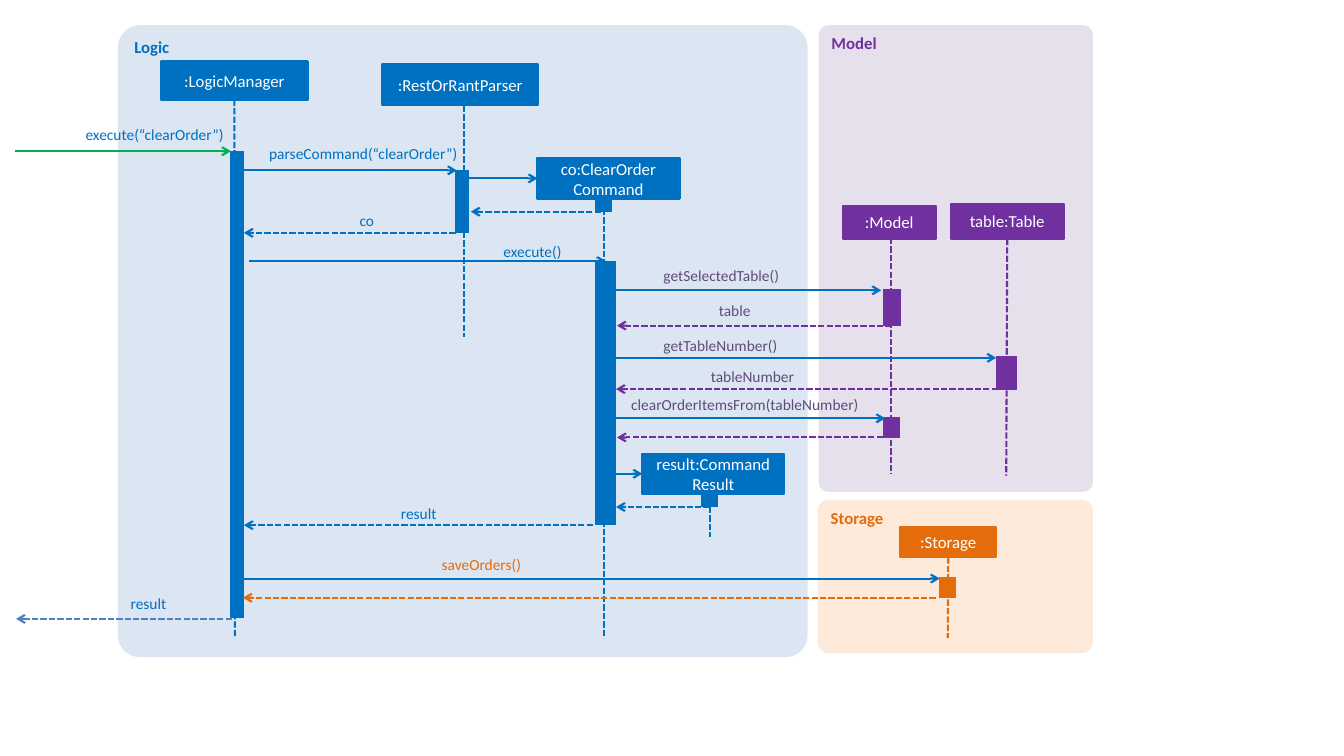
import pptx
import pptx.util
import pptx.dml.color
import pptx.enum.dml
import pptx.enum.shapes
import pptx.enum.text
import pptx.oxml
import pptx.oxml.ns

Inches, Pt = pptx.util.Inches, pptx.util.Pt
Shape = pptx.enum.shapes.MSO_SHAPE
Align = pptx.enum.text.PP_ALIGN
Anchor = pptx.enum.text.MSO_ANCHOR

theme = {
    "font": "Calibri", "head": 12, "label": 11, "line": 1.5, "edge": 0.75,
    "white": "FFFFFF", "logic": "0070C0", "model": "7030A0", "store": "E46C0A",
    "call": "00B050", "reply": "4F81BD", "query": "604A7B",
    "logic bg": "DCE6F2", "model bg": "E6E0EC", "store bg": "FDEADA",
}

# Panels: title, colour, corner, left, top, width, height
panels = [
    ("Logic", "logic", 0.035, 1.17, 0.25, 6.84, 6.27),
    ("Model", "model", 0.035, 8.12, 0.25, 2.72, 4.63),
    ("Storage", "store", 0.071, 8.11, 4.96, 2.73, 1.52),
]
# Activation bars: colour, left, top, width, height
bars = [
    ("logic", 2.29, 1.5, 0.13, 4.63),
    ("logic", 4.52, 1.69, 0.13, 0.62),
    ("logic", 5.91, 1.95, 0.16, 0.15),
    ("logic", 5.91, 2.59, 0.2, 2.61),
    ("logic", 6.96, 4.88, 0.16, 0.15),
    ("model", 8.76, 2.87, 0.17, 0.36),
    ("model", 9.88, 3.54, 0.2, 0.32),
    ("model", 8.76, 4.14, 0.16, 0.2),
    ("store", 9.32, 5.73, 0.16, 0.2),
]
# Heads: text, colour, left, top, width, height
heads = [
    (":LogicManager", "logic", 1.6, 0.61, 1.45, 0.38),
    (":RestOrRantParser", "logic", 3.79, 0.64, 1.55, 0.4),
    ("co:ClearOrder\vCommand", "logic", 5.33, 1.57, 1.41, 0.4),
    ("result:CommandResult", "logic", 6.37, 4.5, 1.41, 0.4),
    (":Model", "model", 8.36, 2.04, 0.92, 0.33),
    ("table:Table", "model", 9.43, 2.02, 1.12, 0.35),
    (":Storage", "store", 8.93, 5.23, 0.95, 0.3),
]
# Lifelines: colour, x, top, bottom
lives = [
    ("logic", 2.33, 0.99, 6.33),
    ("logic", 4.6, 1.05, 3.34),
    ("logic", 5.99, 1.99, 6.33),
    ("logic", 7.04, 5.03, 5.33),
    ("model", 8.84, 2.36, 4.7),
    ("model", 9.98, 2.36, 4.72),
    ("store", 9.4, 5.53, 6.33),
]
# Messages: colour, start x, end x, y (those that run left are replies)
calls = [
    ("call", 0.15, 2.29, 1.5),
    ("logic", 2.42, 4.53, 1.69),
    ("logic", 4.61, 5.33, 1.77),
    ("logic", 5.96, 4.67, 2.1),
    ("logic", 4.52, 2.42, 2.31),
    ("logic", 2.47, 6.01, 2.59),
    ("logic", 6.08, 8.74, 2.88),
    ("model", 8.84, 6.12, 3.23),
    ("logic", 6.08, 9.88, 3.55),
    ("model", 9.98, 6.11, 3.86),
    ("logic", 6.08, 8.78, 4.15),
    ("model", 8.84, 6.12, 4.34),
    ("logic", 6.08, 6.37, 4.7),
    ("logic", 7.04, 6.11, 5.03),
    ("logic", 5.88, 2.42, 5.21),
    ("logic", 2.42, 9.32, 5.74),
    ("store", 9.28, 2.41, 5.93),
    ("reply", 2.3, 0.16, 6.14),
]
# Labels: text, colour, alignment, left, top, width
labels = [
    ("execute(“clearOrder”)", "logic", Align.RIGHT, 0.62, 1.24, 1.6),
    ("parseCommand(“clearOrder”)", "logic", Align.RIGHT, 2.3, 1.43, 2.24),
    ("co", "logic", Align.RIGHT, 2.77, 2.09, 0.94),
    ("execute()", "logic", Align.RIGHT, 4.63, 2.4, 0.94),
    ("getSelectedTable()", "query", Align.LEFT, 6.58, 2.64, 1.48),
    ("table", "query", Align.LEFT, 7.13, 2.99, 1.48),
    ("getTableNumber()", "query", Align.LEFT, 6.58, 3.33, 1.48),
    ("tableNumber", "query", Align.LEFT, 7.05, 3.64, 1.48),
    ("clearOrderItemsFrom(tableNumber)", "query", Align.LEFT, 6.26, 3.92, 2.32),
    ("result", "logic", Align.RIGHT, 3.65, 5, 0.68),
    ("saveOrders()", "store", Align.LEFT, 4.38, 5.51, 1.48),
    ("result", "logic", Align.RIGHT, 0.82, 5.89, 0.83),
]

deck = pptx.Presentation()
deck.slide_width, deck.slide_height = Inches(13.33), Inches(7.5)
slide = deck.slides.add_slide(deck.slide_layouts[6])
rects = []


def tint(name):
    return pptx.dml.color.RGBColor.from_string(theme[name])


def write(shape, text, size, color, align, bold=False):
    frame = shape.text_frame
    frame.word_wrap = True
    frame.text = text
    para = frame.paragraphs[0]
    para.alignment = align
    font = para.font
    font.name, font.size, font.bold = theme["font"], Pt(theme[size]), bold
    font.color.rgb = tint(color)
    return frame


def block(kind, fill, box, edge=None):
    shape = slide.shapes.add_shape(kind, *map(Inches, box))
    shape.shadow.inherit = False
    shape.fill.solid()
    shape.fill.fore_color.rgb = tint(fill)
    if edge:
        shape.line.color.rgb = tint(fill)
        shape.line.width = Pt(theme[edge])
        rects.append((shape, box))
    else:
        shape.line.fill.background()
    return shape


def dock(x, y):
    """Find the rectangle side whose middle is at this point."""
    for shape, (left, top, wide, high) in rects:
        mid, half = left + wide / 2, top + high / 2
        sides = [(mid, top), (left, half), (mid, top + high), (left + wide, half)]
        for side, (px, py) in enumerate(sides):
            if max(abs(px - x), abs(py - y)) < 0.015:
                return shape, side
    return None


def link(color, start, end, dash=False, arrow=False):
    line = slide.shapes.add_connector(
        pptx.enum.shapes.MSO_CONNECTOR.STRAIGHT, *map(Inches, start + end))
    line.line.color.rgb = tint(color)
    line.line.width = Pt(theme["line"])
    if dash:
        line.line.dash_style = pptx.enum.dml.MSO_LINE.SQUARE_DOT
    if arrow:
        tip = pptx.oxml.parse_xml(
            f'<a:tailEnd {pptx.oxml.ns.nsdecls("a")} type="arrow"/>')
        line.line._get_or_add_ln().append(tip)
    line._element.spPr.append(pptx.oxml.parse_xml(
        f'<a:effectLst {pptx.oxml.ns.nsdecls("a")}/>'))
    for join, point in ((line.begin_connect, start), (line.end_connect, end)):
        spot = dock(*point)
        if spot:
            join(*spot)


# Panels
for title, color, curve, *box in panels:
    panel = block(Shape.ROUNDED_RECTANGLE, color + " bg", box)
    panel.adjustments[0] = curve
    frame = write(panel, title, "head", color, Align.LEFT, True)
    frame.vertical_anchor = Anchor.TOP

# Activation bars and heads
for color, *box in bars:
    block(Shape.RECTANGLE, color, box, "edge")
for text, color, *box in heads:
    head = block(Shape.RECTANGLE, color, box, "line")
    frame = write(head, text, "head", "white", Align.CENTER)
    frame.vertical_anchor = Anchor.MIDDLE

# Lifelines and messages
for color, x, top, bottom in lives:
    link(color, (x, top), (x, bottom), dash=True)
for color, start, end, y in calls:
    link(color, (start, y), (end, y), dash=end < start, arrow=True)

# Message labels
for text, color, align, left, top, wide in labels:
    note = slide.shapes.add_textbox(*map(Inches, (left, top, wide, 0.19)))
    frame = write(note, text, "label", color, align)
    frame.margin_left = frame.margin_right = 0
    frame.margin_top = frame.margin_bottom = 0
    frame.auto_size = pptx.enum.text.MSO_AUTO_SIZE.SHAPE_TO_FIT_TEXT

deck.save("out.pptx")
